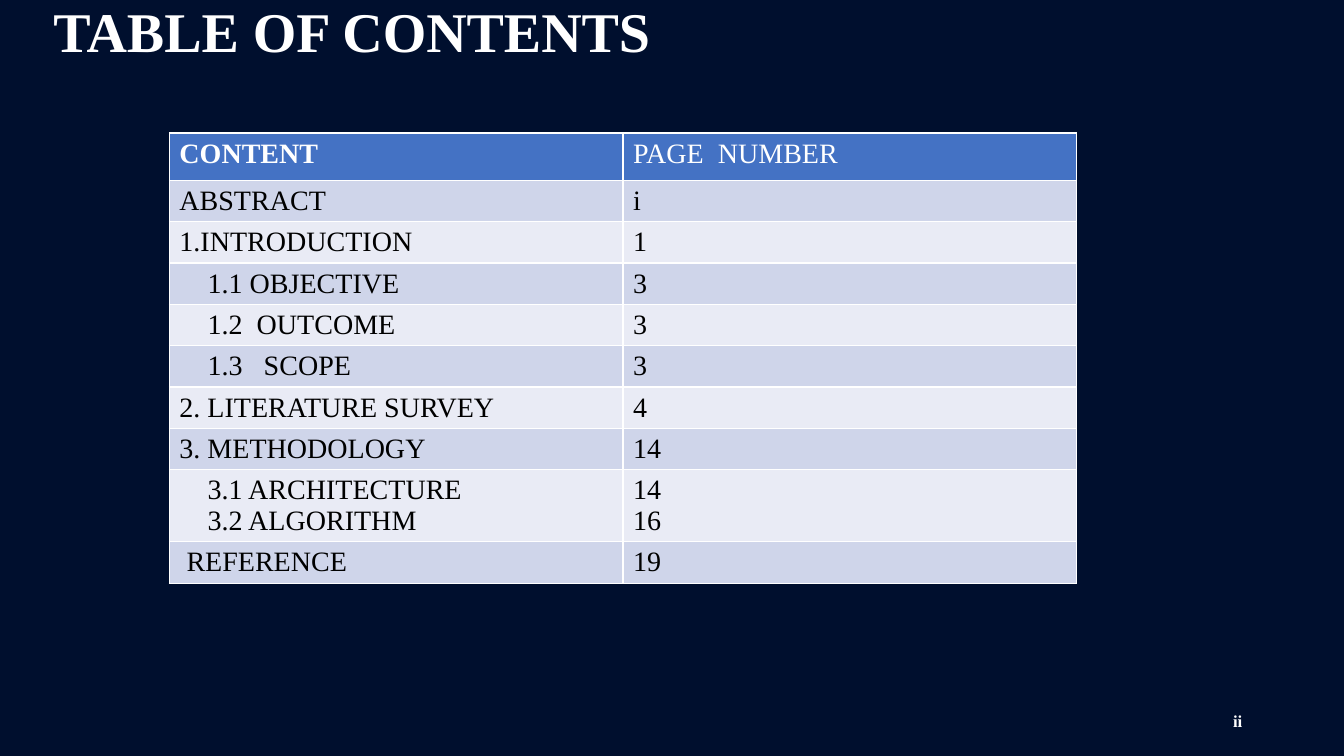
import pptx
import pptx.dml.color
import pptx.enum.text
import pptx.oxml
import pptx.oxml.ns
import pptx.util

Inches = pptx.util.Inches
ALIGN = pptx.enum.text.PP_ALIGN
FONT = "Times New Roman"
WHITE, BLACK, NAVY = "FFFFFF", "000000", "000F2E"
HEAD, BANDS = "4472C4", ("CFD5EA", "E9EBF5")
STEP = 0.28  # indent of a subsection

# Each row: entries, page numbers, indent in inches
ROWS = [
    ("CONTENT", "PAGE  NUMBER", 0),
    ("ABSTRACT", "i", 0),
    ("1.INTRODUCTION", "1", 0),
    ("1.1 OBJECTIVE", "3", STEP),
    ("1.2  OUTCOME", "3", STEP),
    ("1.3   SCOPE", "3", STEP),
    ("2. LITERATURE SURVEY", "4", 0),
    ("3. METHODOLOGY", "14", 0),
    ("3.1 ARCHITECTURE\n3.2 ALGORITHM", "14\n16", STEP),
    ("REFERENCE", "19", 0.07),
]


def color(code):
    """Turn a hex string into a colour."""
    return pptx.dml.color.RGBColor.from_string(code)


def style(frame, size, code, bold=False, align=ALIGN.LEFT, indent=0):
    """Format every paragraph and run of a text frame."""
    for para in frame.paragraphs:
        para.alignment = align
        if indent:
            para._p.get_or_add_pPr().set("marL", str(Inches(indent)))
        for run in para.runs:
            font = run.font
            font.name, font.size, font.bold = FONT, pptx.util.Pt(size), bold
            font.color.rgb = color(code)


def border(cell, code, width):
    """Draw a line on all four sides of a cell."""
    space = pptx.oxml.ns.nsdecls("a")
    for side in "LRTB":
        cell._tc.get_or_add_tcPr().append(pptx.oxml.parse_xml(
            f'<a:ln{side} {space} w="{pptx.util.Pt(width)}"><a:solidFill>'
            f'<a:srgbClr val="{code}"/></a:solidFill></a:ln{side}>'))


def place(shape, box):
    """Move a shape to a box given in inches."""
    shape.left, shape.top, shape.width, shape.height = map(Inches, box)


def add_title(slide, box):
    """Fill the title placeholder."""
    title = slide.shapes.title
    place(title, box)
    frame = title.text_frame
    frame.text = "TABLE OF CONTENTS"
    frame.word_wrap = True
    frame.auto_size = pptx.enum.text.MSO_AUTO_SIZE.NONE
    frame.vertical_anchor = pptx.enum.text.MSO_ANCHOR.MIDDLE
    frame.paragraphs[0].line_spacing = 0.9
    style(frame, 40, WHITE, True)


def add_index(slide, box):
    """Build the table of sections and pages."""
    table = slide.shapes.add_table(len(ROWS), 2, *map(Inches, box)).table
    for col in table.columns:
        col.width = Inches(box[2] / 2)
    for i, (entry, page, indent) in enumerate(ROWS):
        lines = entry.count("\n")
        table.rows[i].height = Inches(0.41 + 0.3 * lines if i else 0.47)
        for j, text in enumerate((entry, page)):
            cell = table.cell(i, j)
            border(cell, WHITE, 1)
            cell.fill.solid()
            cell.fill.fore_color.rgb = color(BANDS[(i - 1) % 2] if i else HEAD)
            cell.text_frame.text = text
            style(cell.text_frame, 20, BLACK if i else WHITE,
                  bold=i == j == 0, indent=0 if j else indent)


def add_folio(slide, box):
    """Write the page number at the foot."""
    frame = slide.shapes.add_textbox(*map(Inches, box)).text_frame
    frame.text = "ii"
    frame.word_wrap = True
    frame.vertical_anchor = pptx.enum.text.MSO_ANCHOR.MIDDLE
    style(frame, 12, WHITE, True, ALIGN.RIGHT)


def main():
    """Build the slide and save it."""
    deck = pptx.Presentation()
    deck.slide_width, deck.slide_height = Inches(13.33), Inches(7.5)
    slide = deck.slides.add_slide(deck.slide_layouts[5])
    back = slide.background.fill
    back.solid()
    back.fore_color.rgb = color(NAVY)
    add_title(slide, (0.43, 0, 6.54, 0.69))
    add_index(slide, (1.68, 1.32, 9, 4.46))
    add_folio(slide, (9.42, 6.95, 3, 0.4))
    deck.save("out.pptx")


main()
